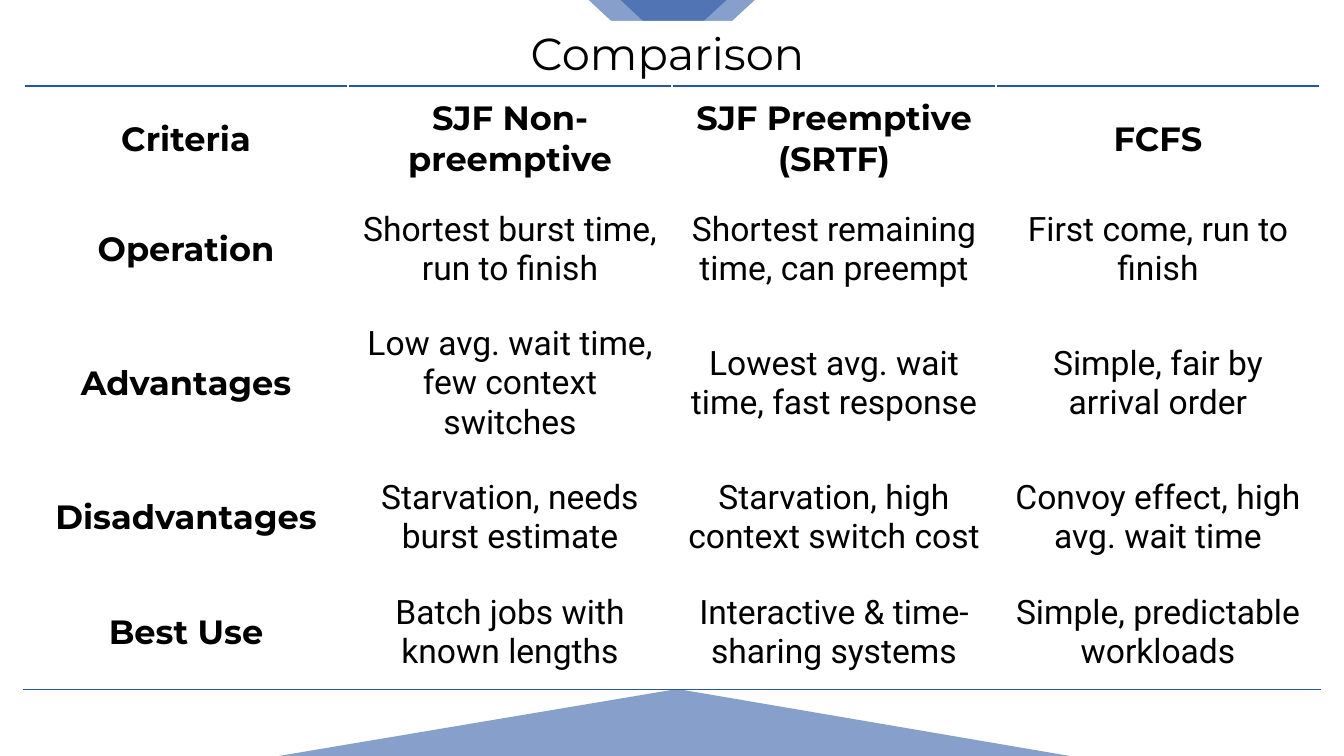
import pptx
import pptx.util
import pptx.dml.color
import pptx.enum.shapes
import pptx.enum.text
import pptx.oxml
import pptx.oxml.ns
import lxml.etree

RGB = pptx.dml.color.RGBColor
BLUE = RGB(0x29, 0x54, 0xA3)
BLACK = RGB(0, 0, 0)
WHITE = RGB(255, 255, 255)
HEAD, BODY = "Montserrat", "Roboto"
ALPHA = 56000

TITLE = "Comparison "
ROWS = [
    ("Criteria", "SJF Non-preemptive", "SJF Preemptive (SRTF)", "FCFS"),
    ("Operation", "Shortest burst time, run to finish",
     "Shortest remaining time, can preempt", "First come, run to finish"),
    ("Advantages", "Low avg. wait time, few context switches",
     "Lowest avg. wait time, fast response", "Simple, fair by arrival order"),
    ("Disadvantages", "Starvation, needs burst estimate",
     "Starvation, high context switch cost", "Convoy effect, high avg. wait time"),
    ("Best Use", "Batch jobs with known lengths",
     "Interactive & time-sharing systems", "Simple, predictable workloads"),
]
HIGHS = (106, 115, 153, 115, 115)
WIDE = 324
LEFT, TOP = 24, 86
PEAKS = [(562, -25, 220, 102), (564, -53, 220, 102)]
BASE = (-7, 689, 1358, 115)
TITLE_BOX = (515, 21, 317, 65)


def px(n):
    return round(n * 914400 / 100.8)


def write(frame, text, font=BODY, size=24, bold=False):
    para = frame.paragraphs[0]
    para.alignment = pptx.enum.text.PP_ALIGN.CENTER
    run = para.add_run()
    run.text = text
    run.font.name = font
    run.font.size = pptx.util.Pt(size)
    run.font.bold = bold
    run.font.color.rgb = BLACK


def peak(slide, box, turn=0):
    kind = pptx.enum.shapes.MSO_SHAPE.ISOSCELES_TRIANGLE
    shape = slide.shapes.add_shape(kind, *map(px, box))
    shape.adjustments[0] = 0.504
    shape.rotation = turn
    shape.shadow.inherit = False
    shape.line.fill.background()
    shape.fill.solid()
    shape.fill.fore_color.rgb = BLUE
    tone = shape.element.find(".//" + pptx.oxml.ns.qn("a:srgbClr"))
    lxml.etree.SubElement(tone, pptx.oxml.ns.qn("a:alpha"), val=str(ALPHA))


def edge(cell, side):
    props = cell._tc.get_or_add_tcPr()
    props.insert(0, pptx.oxml.parse_xml(
        f'<a:{side} {pptx.oxml.ns.nsdecls("a")} w="12700"><a:solidFill>'
        f'<a:srgbClr val="{BLUE}"/></a:solidFill></a:{side}>'))


def head(slide):
    title = slide.shapes.title
    title.left, title.top, title.width, title.height = map(px, TITLE_BOX)
    title.fill.solid()
    title.fill.fore_color.rgb = WHITE
    frame = title.text_frame
    frame.word_wrap = False
    frame.auto_size = pptx.enum.text.MSO_AUTO_SIZE.SHAPE_TO_FIT_TEXT
    frame.vertical_anchor = pptx.enum.text.MSO_ANCHOR.TOP
    write(frame, TITLE, font=HEAD, size=32)
    title.element.getparent().append(title.element)


def grid(slide):
    count = len(ROWS[0])
    table = slide.shapes.add_table(
        len(ROWS), count, px(LEFT), px(TOP),
        px(WIDE * count), px(sum(HIGHS))).table
    table.first_row = table.horz_banding = False
    for col in table.columns:
        col.width = px(WIDE)
    for r, (texts, high) in enumerate(zip(ROWS, HIGHS)):
        table.rows[r].height = px(high)
        for c, text in enumerate(texts):
            cell = table.cell(r, c)
            cell.fill.background()
            cell.vertical_anchor = pptx.enum.text.MSO_ANCHOR.MIDDLE
            label = r == 0 or c == 0
            write(cell.text_frame, text, font=HEAD if label else BODY, bold=label)
            if r == 0:
                edge(cell, "lnT")
            if r == len(ROWS) - 1:
                edge(cell, "lnB")


def main():
    deck = pptx.Presentation()
    deck.slide_width, deck.slide_height = px(1344), px(756)
    slide = deck.slides.add_slide(deck.slide_layouts[5])
    for box in PEAKS:
        peak(slide, box, turn=180)
    head(slide)
    peak(slide, BASE)
    grid(slide)
    deck.save("out.pptx")


if __name__ == "__main__":
    main()
